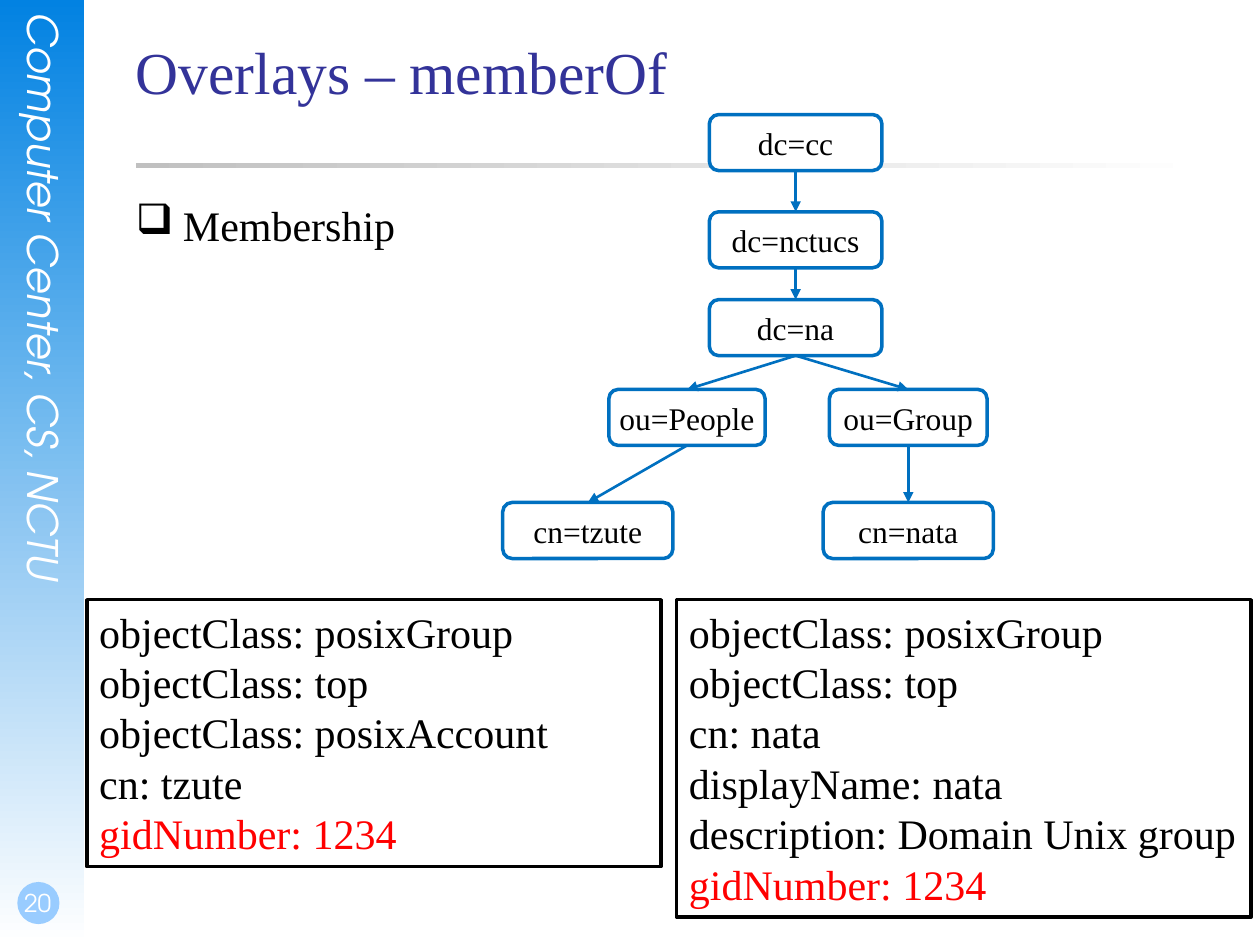
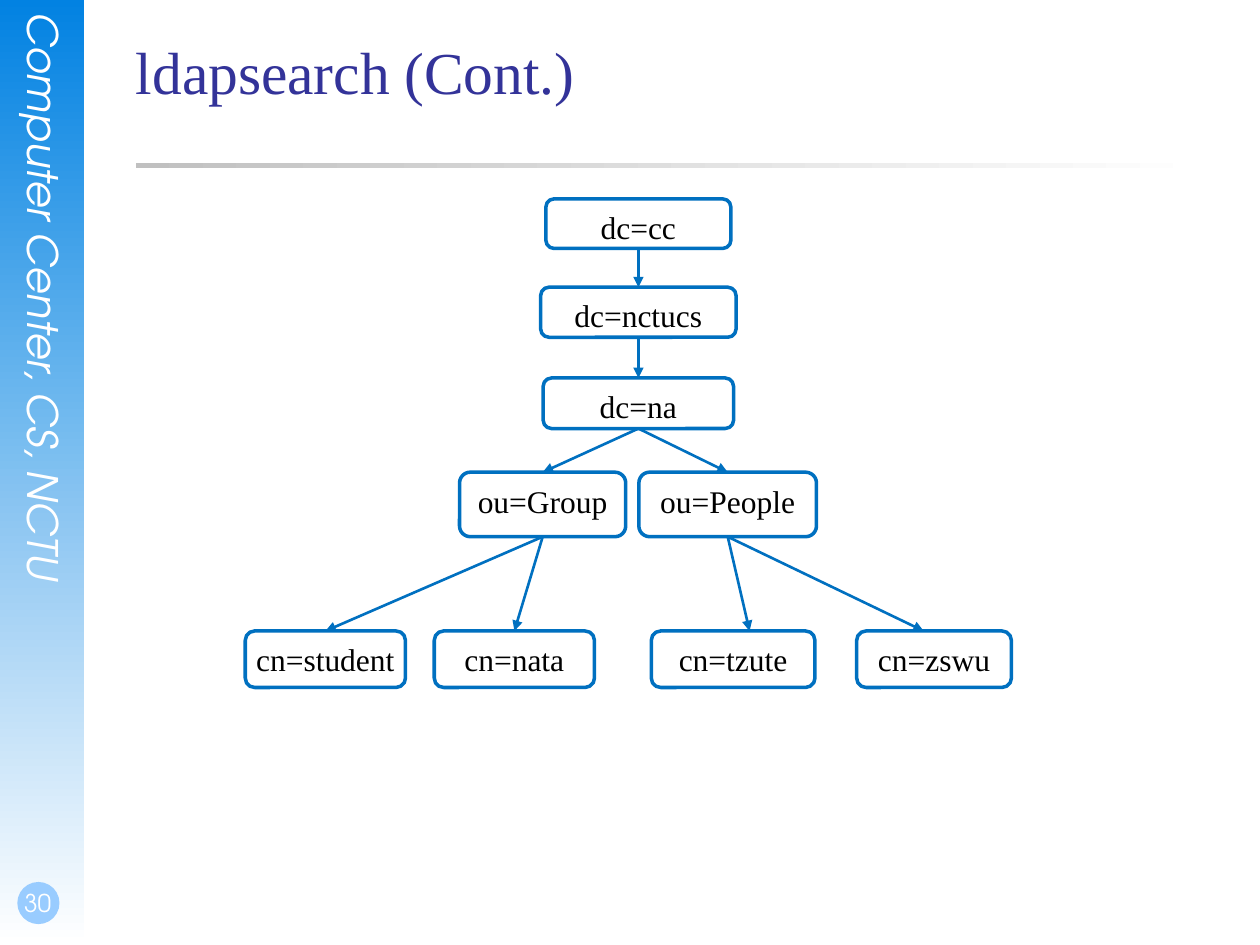
from collections import namedtuple

from lxml import etree
from pptx import Presentation
from pptx import util as u
from pptx.dml.color import RGBColor
from pptx.enum import shapes, text
from pptx.oxml.ns import qn

Box = namedtuple("Box", "left top width height")
Level = namedtuple("Level", "top height nodes")

WHITE = RGBColor(0xFF, 0xFF, 0xFF)
BLACK = RGBColor(0, 0, 0)
RED = RGBColor(0xFF, 0, 0)
SILVER = RGBColor(0xC0, 0xC0, 0xC0)
NAVY = RGBColor(0x33, 0x33, 0x99)
BLUE = RGBColor(0x00, 0x70, 0xC0)
BAND_BLUE = RGBColor(0x02, 0x82, 0xE2)
BADGE_BLUE = RGBColor(0x99, 0xCC, 0xFF)

SERIF = "Times New Roman"
SANS = "TeX Gyre Adventor"
TITLE_ONLY = 5

BAND_BOX = Box(0, 0, 1.7, 19.05)
TITLE_BOX = Box(2.74, 0.7, 21.59, 3.18)
RULE_BOX = Box(2.74, 3.28, 21.59, 0.1)
BODY_BOX = Box(2.74, 4.02, 21.59, 1.9)

MEMBER_TREE_BOX = Box(10.13, 2.31, 9.9, 8.95)
MEMBER_LEVELS = [
    Level(0, 1.13, [("dc=cc", 5.91, 3.48)]),
    Level(1.96, 1.13, [("dc=nctucs", 5.91, 3.48)]),
    Level(3.73, 1.13, [("dc=na", 5.91, 3.48)]),
    Level(5.54, 1.13, [("ou=People", 3.72, 3.15), ("ou=Group", 8.18, 3.18)]),
    Level(7.82, 1.13, [("cn=tzute", 1.72, 3.43), ("cn=nata", 8.18, 3.43)]),
]
MEMBER_LINKS = [
    ("dc=cc", "dc=nctucs", 0),
    ("dc=nctucs", "dc=na", 0),
    ("dc=na", "ou=People", 0),
    ("dc=na", "ou=Group", 0),
    ("ou=People", "cn=tzute", 0),
    ("ou=Group", "cn=nata", 0),
]

SEARCH_TREE_BOX = Box(4.95, 4.01, 15.44, 9.85)
SEARCH_LEVELS = [
    Level(0, 1, [("dc=cc", 7.92, 3.73)]),
    Level(1.78, 1.01, [("dc=nctucs", 7.92, 3.94)]),
    Level(3.61, 1.02, [("dc=na", 7.92, 3.84)]),
    Level(5.51, 1.3, [("ou=Group", 5.99, 3.35), ("ou=People", 9.72, 3.58)]),
    Level(8.71, 1.14, [("cn=student", 1.61, 3.23), ("cn=nata", 5.42, 3.23),
                       ("cn=tzute", 9.83, 3.3), ("cn=zswu", 13.88, 3.12)]),
]
SEARCH_LINKS = [
    ("dc=cc", "dc=nctucs", 0),
    ("dc=nctucs", "dc=na", 0),
    ("dc=na", "ou=Group", 0),
    ("dc=na", "ou=People", 0),
    ("ou=Group", "cn=student", 0),
    ("ou=Group", "cn=nata", 0),
    ("ou=People", "cn=tzute", 0.33),
    ("ou=People", "cn=zswu", -0.21),
]

ACCOUNT_BOX = Box(1.75, 12.09, 11.58, 5.38)
ACCOUNT_LINES = ["objectClass: posixGroup", "objectClass: top",
                 "objectClass: posixAccount", "cn: tzute", "gidNumber: 1234"]
GROUP_BOX = Box(13.64, 12.09, 11.58, 6.4)
GROUP_LINES = ["objectClass: posixGroup", "objectClass: top", "cn: nata", "displayName: nata",
               "description: Domain Unix group", "gidNumber: 1234"]


def lengths(box):
    """Return the four sides of a box as lengths."""
    return [u.Cm(side) for side in box]


def add_span(para, words, size, color, font=SERIF, italic=False):
    """Append one formatted run to a paragraph."""
    span = para.add_run()
    span.text = words
    span.font.size = u.Pt(size)
    span.font.name = font
    span.font.italic = italic
    span.font.color.rgb = color


def set_frame(frame, insets=(0, 0, 0, 0), anchor=text.MSO_ANCHOR.TOP):
    """Wrap a text frame and set its insets and anchor."""
    frame.word_wrap = True
    frame.vertical_anchor = anchor
    (frame.margin_left, frame.margin_top,
     frame.margin_right, frame.margin_bottom) = [u.Cm(inset) for inset in insets]


def add_label(page, box, **frame_options):
    """Add an empty text box and return its frame."""
    frame = page.shapes.add_textbox(*lengths(box)).text_frame
    set_frame(frame, **frame_options)
    return frame


def add_panel(page, kind, box, fill, line=None):
    """Add a flat shape with a plain fill and an optional outline."""
    panel = page.shapes.add_shape(kind, *lengths(box))
    panel.shadow.inherit = False
    panel.fill.solid()
    panel.fill.fore_color.rgb = fill
    if line is None:
        panel.line.fill.background()
    else:
        panel.line.color.rgb = line
        panel.line.width = u.Pt(2)
    return panel


def add_fade(page, box, color, angle):
    """Add a rectangle that fades from a colour to white."""
    fill = add_panel(page, shapes.MSO_SHAPE.RECTANGLE, box, color).fill
    fill.gradient()
    fill.gradient_angle = angle
    for stop, shade in zip(fill.gradient_stops, (color, WHITE)):
        stop.color.rgb = shade


def add_side_band(page, box, number):
    """Draw the side band with its caption and page number."""
    add_fade(page, box, BAND_BLUE, 270)
    caption = add_label(page, Box(box.left + 0.38, box.top + 0.25, 1.02, 12.98))
    caption._txBody.bodyPr.set("vert", "eaVert")
    add_span(caption.paragraphs[0], "Computer Center, CS, NCTU", 24, WHITE, SANS, True)

    bottom = box.top + box.height
    add_panel(page, shapes.MSO_SHAPE.OVAL,
              Box(box.left + 0.35, bottom - 1.27, 0.85, 0.85), BADGE_BLUE)
    badge = add_label(page, Box(box.left, bottom - 1.7, 1.47, 1.27),
                      insets=(0.05, 0, 0, 0.13), anchor=text.MSO_ANCHOR.BOTTOM)
    para = badge.paragraphs[0]
    para.alignment = text.PP_ALIGN.CENTER
    add_span(para, str(number), 14, WHITE, SANS)


def add_page(deck, title, number):
    """Add a page with the shared band, rule and title."""
    page = deck.slides.add_slide(deck.slide_layouts[TITLE_ONLY])
    add_side_band(page, BAND_BOX, number)
    add_fade(page, RULE_BOX, SILVER, 0)
    heading = page.shapes.title
    heading.left, heading.top, heading.width, heading.height = lengths(TITLE_BOX)
    set_frame(heading.text_frame)
    heading.text_frame.auto_size = text.MSO_AUTO_SIZE.NONE
    para = heading.text_frame.paragraphs[0]
    para.alignment = text.PP_ALIGN.LEFT
    add_span(para, title, 34, NAVY)
    return page


def add_bullet(page, box, words):
    """Add a bulleted line of body text."""
    para = add_label(page, box).paragraphs[0]
    para.space_before = u.Pt(6)
    add_span(para, words, 24, BLACK)
    properties = para._p.get_or_add_pPr()
    properties.set("marL", str(u.Cm(0.95)))
    properties.set("indent", str(-u.Cm(0.95)))
    etree.SubElement(properties, qn("a:buChar")).set("char", "❑")


def add_record(page, box, lines):
    """List directory attributes in a frame, with the last one in red."""
    card = add_panel(page, shapes.MSO_SHAPE.RECTANGLE, box, WHITE, BLACK)
    frame = card.text_frame
    set_frame(frame, insets=(0.25, 0.13, 0.25, 0.13))
    for index, words in enumerate(lines):
        para = frame.add_paragraph() if index else frame.paragraphs[0]
        para.alignment = text.PP_ALIGN.LEFT
        para.line_spacing = u.Pt(28.8)
        add_span(para, words, 24, RED if words == lines[-1] else BLACK)


def add_node(page, box, name):
    """Add one rounded tree node."""
    node = add_panel(page, shapes.MSO_SHAPE.ROUNDED_RECTANGLE, box, WHITE, BLUE)
    set_frame(node.text_frame, insets=(0.25, 0.13, 0.25, 0.13))
    node.text_frame.word_wrap = False
    para = node.text_frame.paragraphs[0]
    para.alignment = text.PP_ALIGN.CENTER
    add_span(para, name, 18, BLACK)
    return node


def add_link(page, parent, child, shift):
    """Draw an arrow from a parent to a child, ending beside its centre by a shift."""
    arrow = page.shapes.add_connector(
        shapes.MSO_CONNECTOR.STRAIGHT,
        parent.left + parent.width // 2, parent.top + parent.height,
        child.left + child.width // 2 + u.Cm(shift), child.top)
    arrow.begin_connect(parent, 2)
    if not shift:
        arrow.end_connect(child, 0)
    arrow.line.color.rgb = BLUE
    arrow.line.width = u.Pt(1.5)
    etree.SubElement(arrow.line._get_or_add_ln(), qn("a:tailEnd")).set("type", "triangle")
    etree.SubElement(arrow._element.spPr, qn("a:effectLst"))


def add_tree(page, box, levels, links):
    """Draw a directory tree level by level, then its arrows."""
    nodes = {}
    for level in levels:
        for name, centre, width in level.nodes:
            node_box = Box(box.left + centre - width / 2, box.top + level.top,
                           width, level.height)
            nodes[name] = add_node(page, node_box, name)
    for parent, child, shift in links:
        add_link(page, nodes[parent], nodes[child], shift)


def main():
    """Build and save the deck."""
    deck = Presentation()
    deck.slide_width, deck.slide_height = u.Cm(25.4), u.Cm(19.05)

    page = add_page(deck, "Overlays – memberOf", 20)
    add_bullet(page, BODY_BOX, "Membership")
    add_tree(page, MEMBER_TREE_BOX, MEMBER_LEVELS, MEMBER_LINKS)
    add_record(page, ACCOUNT_BOX, ACCOUNT_LINES)
    add_record(page, GROUP_BOX, GROUP_LINES)

    page = add_page(deck, "ldapsearch (Cont.)", 30)
    add_tree(page, SEARCH_TREE_BOX, SEARCH_LEVELS, SEARCH_LINKS)
    deck.save("out.pptx")


if __name__ == "__main__":
    main()
